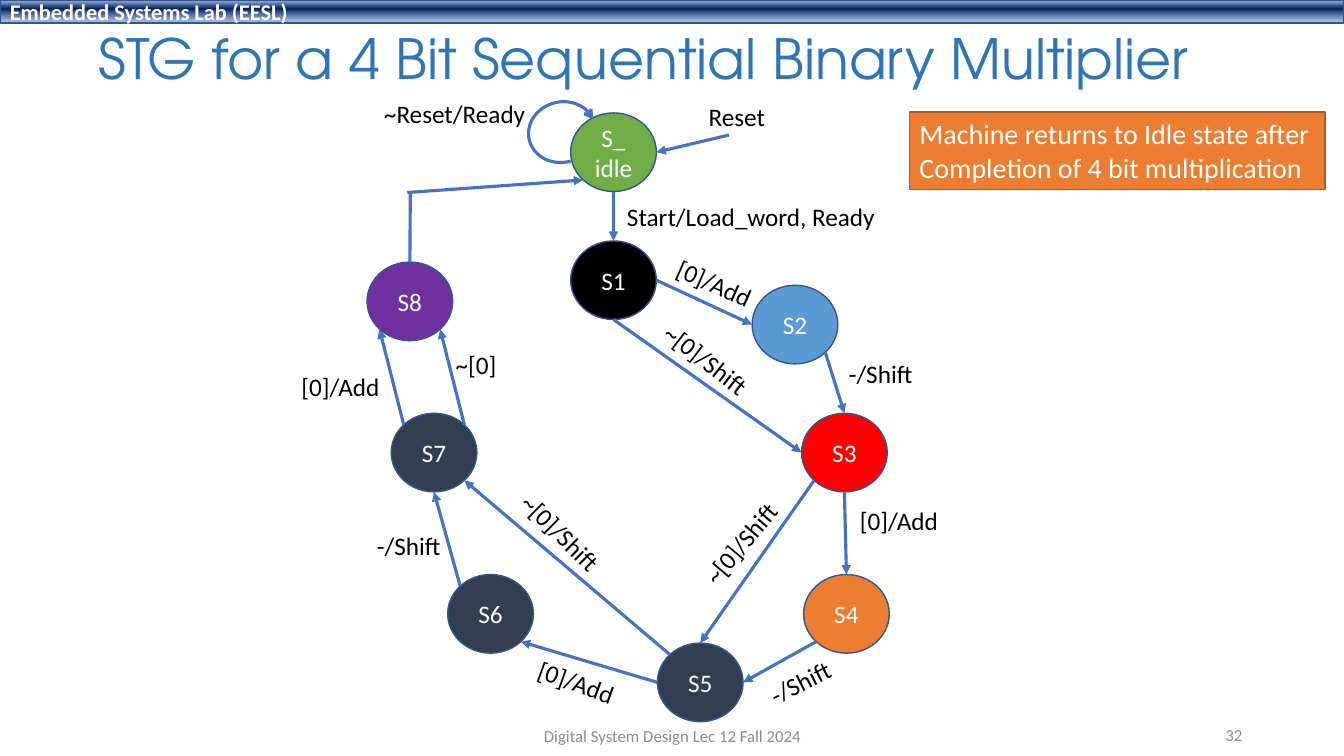
import math

import lxml.etree
import pptx
import pptx.dml.color
import pptx.enum.shapes
import pptx.enum.text
import pptx.oxml
import pptx.oxml.ns
import pptx.util

Inches = pptx.util.Inches
Pt = pptx.util.Pt
SHAPE = pptx.enum.shapes.MSO_SHAPE
ALIGN = pptx.enum.text.PP_ALIGN
ANCHOR = pptx.enum.text.MSO_ANCHOR

BODY_FONT = "Calibri"
TITLE_FONT = "TeX Gyre Adventor"
OUTLINE = "325491"
ARROW = "4472C4"
STATE_WIDTH, STATE_HEIGHT = 0.85, 0.78

# name: (left, top, fill, lines of text)
STATES = {
    "idle": (5.66, 1.12, "70AD47", ["S_", "idle"]),
    "S1": (5.66, 2.39, "000000", ["S1"]),
    "S2": (7.46, 2.83, "5B9BD5", ["S2"]),
    "S3": (7.95, 4.1, "FF0000", ["S3"]),
    "S4": (7.97, 5.7, "ED7D31", ["S4"]),
    "S5": (6.52, 6.38, "333F50", ["S5"]),
    "S6": (4.44, 5.7, "333F50", ["S6"]),
    "S7": (3.88, 4.1, "333F50", ["S7"]),
    "S8": (3.64, 2.6, "7030A0", ["S8"]),
}

# Compass side of a state, as an angle clockwise from east
SIDES = {"E": 0, "SE": 45, "S": 90, "SW": 135, "W": 180, "NW": 225, "N": 270, "NE": 315}

# Each end is a (state, side) pair or a point in inches
TRANSITIONS = [
    ((7.23, 1.34), ("idle", "E")),
    (("idle", "S"), ("S1", "N")),
    (("S1", "E"), ("S2", "W")),
    (("S1", "S"), ("S3", "W")),
    (("S2", "SE"), ("S3", "N")),
    (("S3", "S"), ("S4", "N")),
    (("S3", "SW"), ("S5", "N")),
    (("S4", "SW"), ("S5", "E")),
    (("S5", "W"), ("S6", "SE")),
    (("S5", "NW"), ("S7", "SE")),
    (("S6", "NW"), ("S7", "S")),
    (("S7", "NW"), ("S8", "SW")),
    (("S7", "NE"), ("S8", "SE")),
    ((4.04, 1.91), ("idle", "SW")),
]
RETURN_STEM = (("S8", "N"), (4.07, 1.9))

# text, left, top, width, rotation
LABELS = [
    ("~Reset/Ready", 3.71, 0.93, 1.62, 0),
    ("Reset", 6.93, 0.96, 0.77, 0),
    ("Start/Load_word, Ready", 6.12, 1.95, 2.69, 0),
    ("[0]/Add", 6.6, 2.61, 0.99, 23.9),
    ("~[0]/Shift", 6.42, 3.38, 1.21, 37.7),
    ("-/Shift", 8.32, 3.51, 0.85, 0),
    ("[0]/Add", 8.43, 4.96, 0.99, 0),
    ("~[0]/Shift", 6.76, 5.18, 1.18, 310.1),
    ("-/Shift", 7.52, 6.56, 0.85, 333.2),
    ("[0]/Add", 5.23, 6.57, 0.99, 19.7),
    ("~[0]/Shift", 4.98, 5.09, 1.18, 44.6),
    ("-/Shift", 3.64, 5.21, 0.85, 0),
    ("[0]/Add", 2.89, 3.63, 0.99, 0),
    ("~[0]", 4.42, 3.42, 0.61, 0),
]

NOTE = ["Machine returns to Idle state after", "Completion of 4 bit multiplication"]

# position %, colour, opacity %
BAR_STOPS = [(2, "ABC0E4", 100), (38, "002060", 100), (93, "7E9ED6", 64)]


def rgb(value):
    return pptx.dml.color.RGBColor.from_string(value)


def write(shape, lines, size, color, align=ALIGN.LEFT, anchor=ANCHOR.MIDDLE,
          wrap=True, font=BODY_FONT, bold=False, spacing=None):
    frame = shape.text_frame
    frame.word_wrap = wrap
    frame.vertical_anchor = anchor
    frame.text = "\n".join(lines)
    for paragraph in frame.paragraphs:
        paragraph.alignment = align
        paragraph.line_spacing = spacing
        paragraph.font.name = font
        paragraph.font.size = Pt(size)
        paragraph.font.bold = bold
        paragraph.font.color.rgb = rgb(color)


def add_text(slide, box, lines, size, color, **style):
    shape = slide.shapes.add_textbox(*map(Inches, box))
    write(shape, lines, size, color, **style)
    return shape


def add_shape(slide, kind, box, fill, line=OUTLINE, width=1):
    shape = slide.shapes.add_shape(kind, *map(Inches, box))
    shape.shadow.inherit = False
    if fill:
        shape.fill.solid()
        shape.fill.fore_color.rgb = rgb(fill)
    else:
        shape.fill.background()
    shape.line.color.rgb = rgb(line)
    shape.line.width = Pt(width)
    return shape


def add_arrowhead(shape, kind):
    line = shape.line._get_or_add_ln()
    lxml.etree.SubElement(line, pptx.oxml.ns.qn("a:tailEnd"), type=kind)


def locate(end):
    """Return an end of a transition as a point in inches."""
    if end[0] not in STATES:
        return end
    left, top = STATES[end[0]][:2]
    angle = math.radians(SIDES[end[1]])
    return (left + STATE_WIDTH / 2 * (1 + math.cos(angle)),
            top + STATE_HEIGHT / 2 * (1 + math.sin(angle)))


def add_transition(slide, start, end, arrowhead=True):
    points = map(Inches, (*locate(start), *locate(end)))
    connector = slide.shapes.add_connector(
        pptx.enum.shapes.MSO_CONNECTOR.STRAIGHT, *points)
    connector.line.color.rgb = rgb(ARROW)
    connector.line.width = Pt(2.25)
    if arrowhead:
        add_arrowhead(connector, "triangle")
    lxml.etree.SubElement(connector._element.spPr, pptx.oxml.ns.qn("a:effectLst"))


def add_header_bar(slide):
    bar = add_shape(slide, SHAPE.RECTANGLE, (0, 0, 13.33, 0.23), "002060")
    stops = "".join(
        f'<a:gs pos="{position * 1000}"><a:srgbClr val="{color}">'
        f'<a:alpha val="{opacity * 1000}"/></a:srgbClr></a:gs>'
        for position, color, opacity in BAR_STOPS)
    gradient = pptx.oxml.parse_xml(
        f'<a:gradFill {pptx.oxml.ns.nsdecls("a")} rotWithShape="1"><a:gsLst>{stops}'
        '</a:gsLst><a:lin ang="5400000" scaled="0"/></a:gradFill>')
    properties = bar._element.spPr
    properties.replace(properties.find(pptx.oxml.ns.qn("a:solidFill")), gradient)
    write(bar, ["Embedded Systems Lab (EESL)"], 16, "FFFFFF", bold=True)


def main():
    presentation = pptx.Presentation()
    presentation.slide_width = Inches(13.33)
    presentation.slide_height = Inches(7.5)
    slide = presentation.slides.add_slide(presentation.slide_layouts[6])

    add_header_bar(slide)
    add_text(slide, (0.88, 0.05, 11.74, 1.13),
             ["STG for a 4 Bit Sequential Binary Multiplier"], 39.6, "2E75B6",
             font=TITLE_FONT, spacing=0.9)

    for left, top, fill, lines in STATES.values():
        state = add_shape(slide, SHAPE.OVAL, (left, top, STATE_WIDTH, STATE_HEIGHT), fill)
        write(state, lines, 18, "FFFFFF", align=ALIGN.CENTER)

    for start, end in TRANSITIONS:
        add_transition(slide, start, end)
    add_transition(slide, *RETURN_STEM, arrowhead=False)

    idle_loop = add_shape(slide, SHAPE.ARC, (5.24, 1.01, 0.67, 0.6), None, ARROW, 2.25)
    idle_loop.adjustments[0] = 159.7
    idle_loop.adjustments[1] = 102.03
    idle_loop.rotation = 167.3
    add_arrowhead(idle_loop, "arrow")

    for text, left, top, width, rotation in LABELS:
        label = add_text(slide, (left, top, width, 0.4), [text], 18, "000000",
                         anchor=ANCHOR.TOP, wrap=False)
        label.rotation = rotation

    note = add_shape(slide, SHAPE.RECTANGLE, (9.02, 1.11, 4.12, 0.77), "ED7D31", "AF5C24")
    write(note, NOTE, 20, "FFFFFF", anchor=ANCHOR.TOP, wrap=False)

    add_text(slide, (4.42, 7.1, 4.5, 0.4), ["Digital System Design Lec 12 Fall 2024"],
             12, "8C8C8C", align=ALIGN.CENTER)
    add_text(slide, (9.42, 7.09, 3, 0.4), ["32"], 12, "8C8C8C", align=ALIGN.RIGHT)

    presentation.save("out.pptx")


if __name__ == "__main__":
    main()
